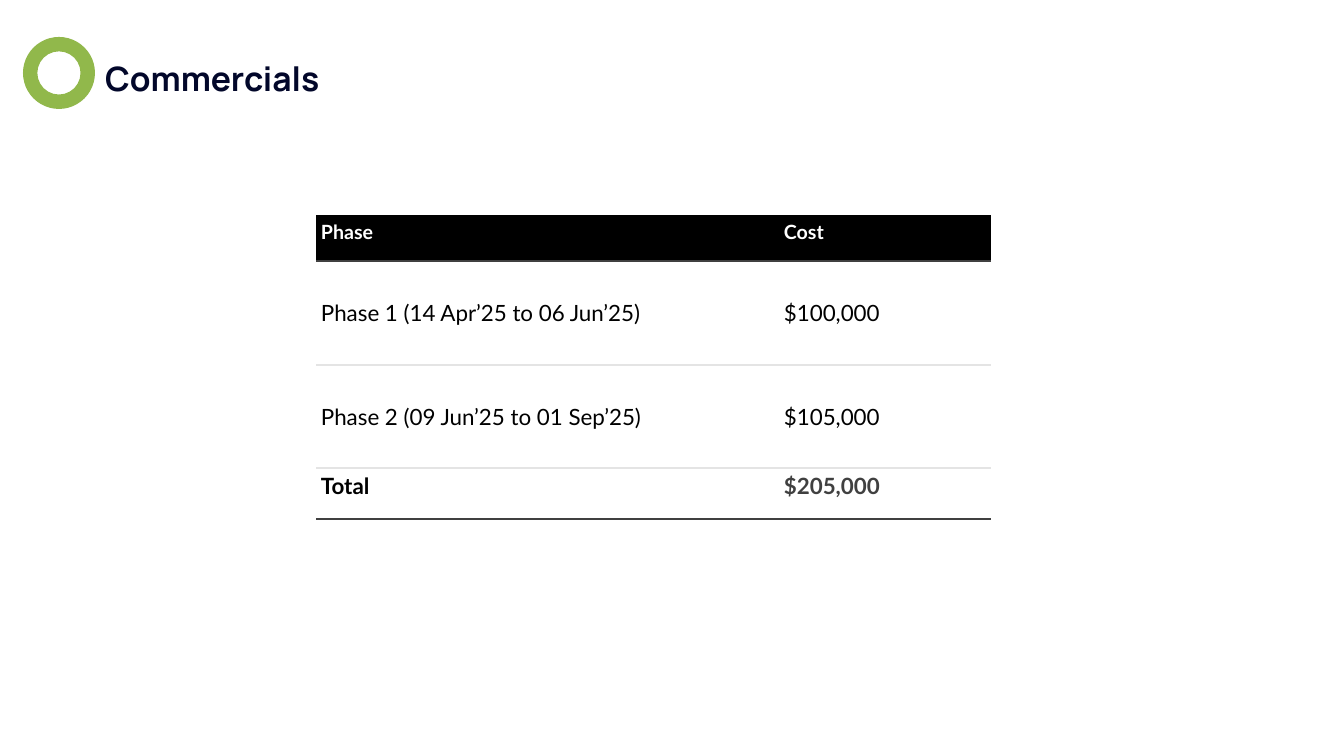
from lxml import etree
from pptx import Presentation
from pptx.dml.color import RGBColor
from pptx.enum.shapes import MSO_SHAPE
from pptx.enum.text import MSO_ANCHOR, MSO_AUTO_SIZE, PP_ALIGN
from pptx.oxml.ns import qn
from pptx.util import Pt

TOP, MIDDLE = MSO_ANCHOR.TOP, MSO_ANCHOR.MIDDLE
LEFT = PP_ALIGN.LEFT
RING = MSO_SHAPE.DONUT
NO_FIT = MSO_AUTO_SIZE.NONE

BLACK, WHITE, GREY, PALE = "000000", "FFFFFF", "404040", "E4E4E4"
GREEN, NAVY = "91B84B", "02072A"

TITLE = "Commercials"
COLUMN_WIDTHS = (463, 212)
# texts, height, anchor, size, bold, text colours, fill, bottom rule
COST_ROWS = [
    (("Phase", "Cost"), 46, TOP, 14, True, (WHITE, WHITE), BLACK, GREY),
    (("Phase 1 (14 Apr’25 to 06 Jun’25)", "$100,000"), 104, MIDDLE, 16, False,
     (BLACK, BLACK), None, PALE),
    (("Phase 2 (09 Jun’25 to 01 Sep’25)", "$105,000"), 103, MIDDLE, 16, False,
     (BLACK, BLACK), None, PALE),
    (("Total", "$205,000"), 51, TOP, 16, True, (BLACK, GREY), None, GREY),
]


def px(length):
    return round(length * 914400 / 100.8)


def rgb(color):
    return RGBColor.from_string(color)


def add_run(paragraph, text, font, size, color, bold):
    run = paragraph.add_run()
    run.text = text
    run.font.name = font
    run.font.size = Pt(size)
    run.font.bold = bold
    run.font.color.rgb = rgb(color)


def set_borders(cell, above, below):
    """Rule the top and bottom of a cell; None leaves a side open."""
    properties = cell._tc.get_or_add_tcPr()
    sides = (("a:lnL", None), ("a:lnR", None), ("a:lnT", above), ("a:lnB", below))
    for position, (tag, color) in enumerate(sides):
        line = etree.Element(qn(tag), w=str(Pt(1)))
        properties.insert(position, line)
        if color:
            fill = etree.SubElement(line, qn("a:solidFill"))
            etree.SubElement(fill, qn("a:srgbClr"), val=color)
        else:
            etree.SubElement(line, qn("a:noFill"))


def add_title(slide):
    title = slide.shapes.title
    title.left, title.top, title.width, title.height = map(px, (100, 29, 1166, 103))
    frame = title.text_frame
    frame.auto_size = NO_FIT
    frame.word_wrap = True
    frame.vertical_anchor = MIDDLE
    frame.margin_left = frame.margin_right = px(5)
    frame.margin_top = frame.margin_bottom = px(3)
    paragraph = frame.paragraphs[0]
    paragraph.alignment = LEFT
    paragraph.line_spacing = 0.9
    add_run(paragraph, TITLE, "Manrope", 24, NAVY, True)


def add_emblem(slide):
    ring = slide.shapes.add_shape(RING, px(23), px(37), px(72), px(72))
    ring.adjustments[0] = 0.2
    ring.shadow.inherit = False
    ring.fill.solid()
    ring.fill.fore_color.rgb = rgb(GREEN)
    ring.line.fill.background()


def add_cost_table(slide):
    height = sum(row[1] for row in COST_ROWS)
    table = slide.shapes.add_table(
        len(COST_ROWS), len(COLUMN_WIDTHS), px(316), px(215),
        px(sum(COLUMN_WIDTHS)), px(height)).table
    table.first_row = table.horz_banding = False
    for column, width in zip(table.columns, COLUMN_WIDTHS):
        column.width = px(width)

    above = None
    for row, content in zip(table.rows, COST_ROWS):
        texts, row_height, anchor, size, bold, colors, fill, below = content
        row.height = px(row_height)
        for cell, text, color in zip(row.cells, texts, colors):
            cell.margin_left = cell.margin_right = px(5)
            cell.margin_top = cell.margin_bottom = px(5)
            cell.vertical_anchor = anchor
            if fill:
                cell.fill.solid()
                cell.fill.fore_color.rgb = rgb(fill)
            else:
                cell.fill.background()
            set_borders(cell, above, below)
            add_run(cell.text_frame.paragraphs[0], text, "Lato", size, color, bold)
        above = below


def main():
    deck = Presentation()
    deck.slide_width, deck.slide_height = px(1344), px(756)
    slide = deck.slides.add_slide(deck.slide_layouts[5])
    add_emblem(slide)
    add_cost_table(slide)
    add_title(slide)
    deck.save("out.pptx")


if __name__ == "__main__":
    main()
